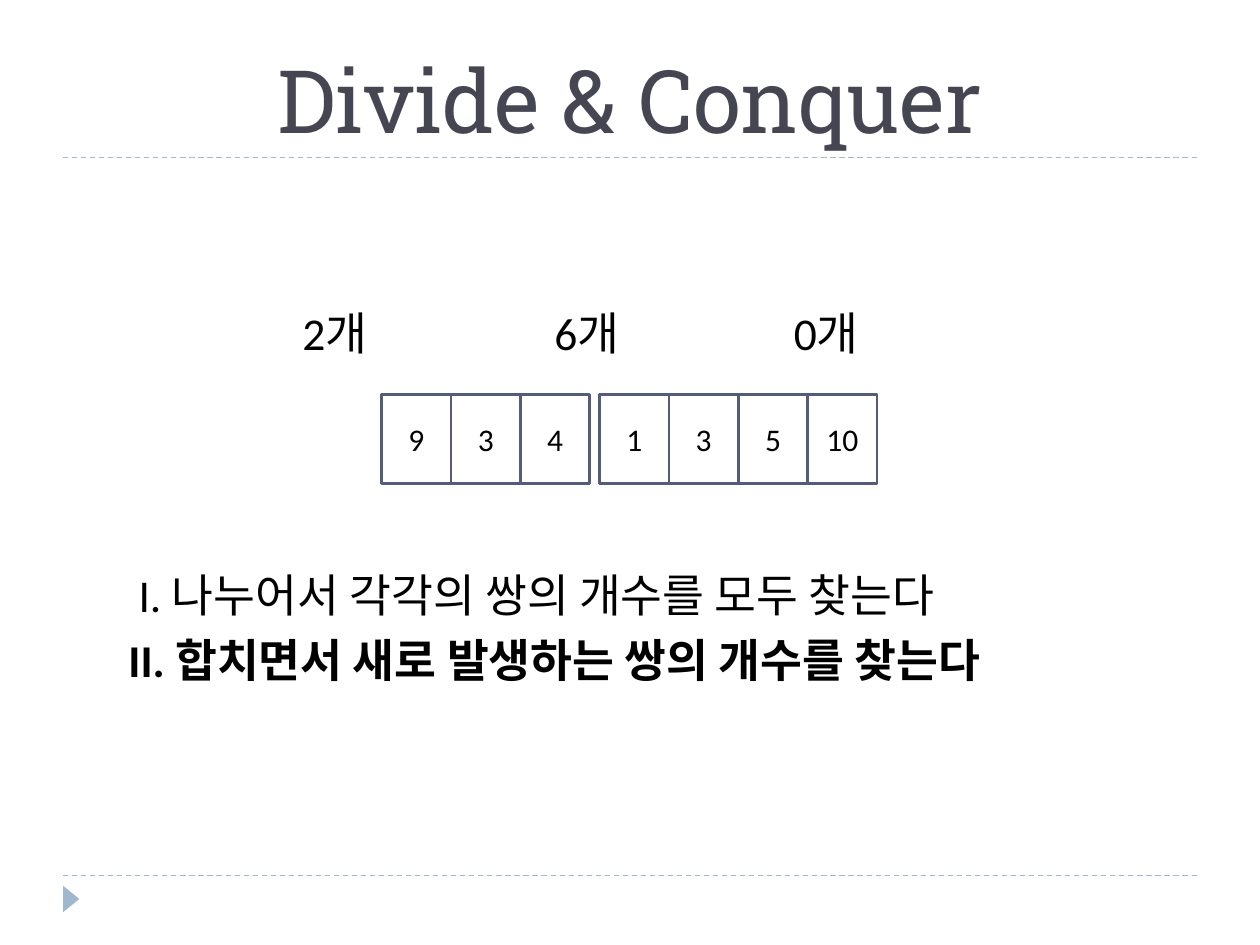
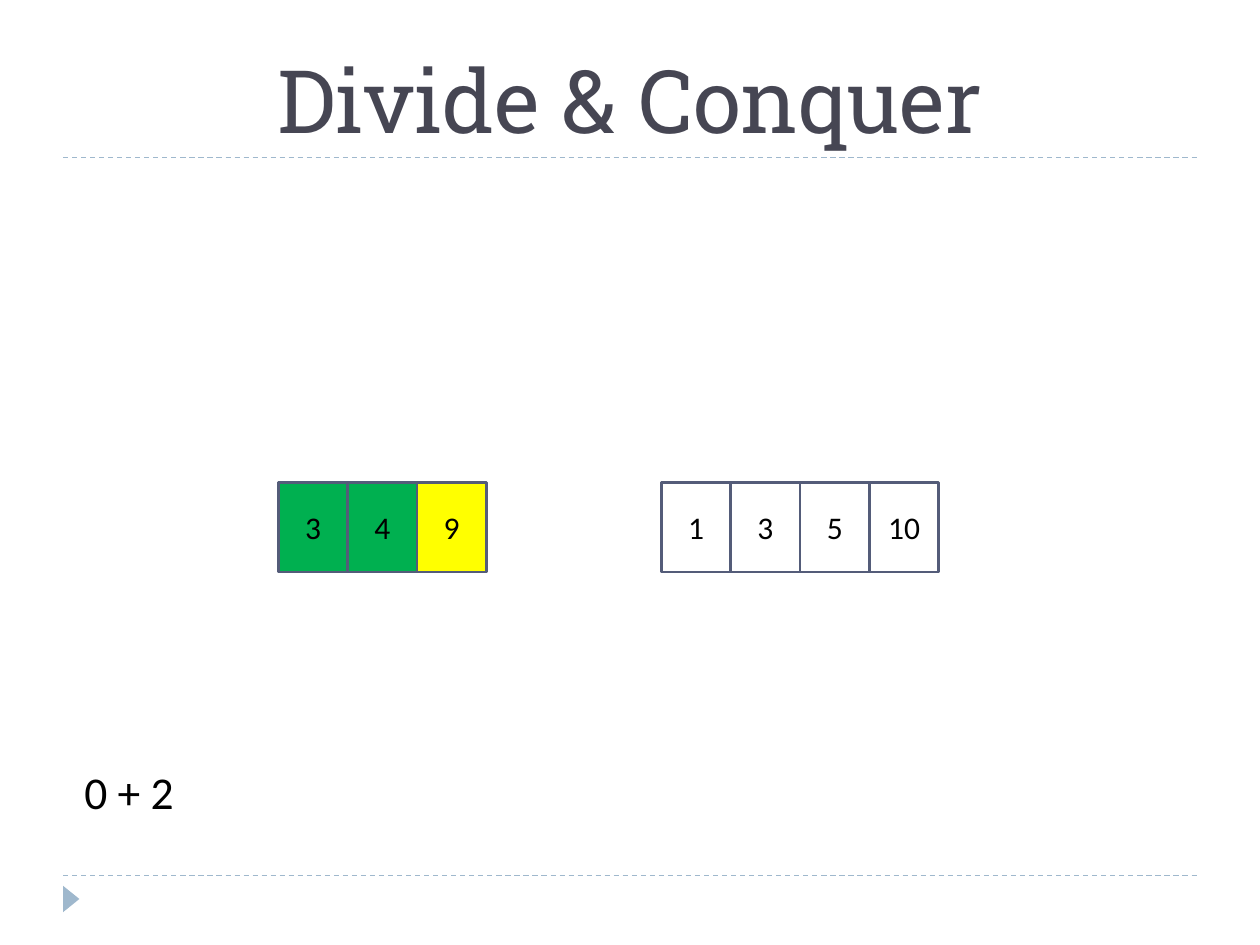
from lxml import etree
from pptx import Presentation
from pptx.dml.color import RGBColor
from pptx.enum.dml import MSO_LINE
from pptx.enum.shapes import MSO_CONNECTOR, MSO_SHAPE
from pptx.enum.text import MSO_ANCHOR, MSO_AUTO_SIZE, PP_ALIGN
from pptx.oxml.ns import qn
from pptx.util import Inches, Pt

INK = RGBColor(0x00, 0x00, 0x00)
TITLE_INK = RGBColor(0x46, 0x46, 0x53)
BAND = RGBColor(0x9F, 0xB8, 0xCD)
CELL_EDGE = RGBColor(0x54, 0x5C, 0x79)
GREEN = RGBColor(0x00, 0xB0, 0x50)
YELLOW = RGBColor(0xFF, 0xFF, 0x00)

STRAIGHT = MSO_CONNECTOR.STRAIGHT
RECTANGLE = MSO_SHAPE.RECTANGLE
TRIANGLE = MSO_SHAPE.ISOSCELES_TRIANGLE
DASH = MSO_LINE.DASH
CENTER = PP_ALIGN.CENTER
MIDDLE = MSO_ANCHOR.MIDDLE
BOTTOM = MSO_ANCHOR.BOTTOM
NO_FIT = MSO_AUTO_SIZE.NONE

SLIDE_W, SLIDE_H = 10, 7.5
MARGIN = SLIDE_W / 20
CONTENT_W = SLIDE_W - 2 * MARGIN
TITLE_TOP, TITLE_RULE, FOOTER_RULE = 0.17, 1.25, 6.95
TEXT_LEFT, TEXT_TOP, ROW_PITCH = 0.6, 1.38, 0.52
CELL_W, CELL_H = 0.55, 0.71
TITLE_ONLY = 5

TITLE_FONT = {"name": "Roboto Slab", "size": Pt(50), "bold": False}
BODY_FONT = {"name": "Calibri", "size": Pt(26)}
CELL_FONT = {"name": "Calibri", "size": Pt(18)}
NO_MARGINS = dict.fromkeys(
    ("margin_left", "margin_top", "margin_right", "margin_bottom"), 0)


def apply(target, formats):
    """Set every attribute named in formats on target."""
    for key, value in formats.items():
        setattr(target, key, value)


def box(left, top, width, height):
    """Turn four lengths in inches into slide units."""
    return [Inches(length) for length in (left, top, width, height)]


def write(paragraph, words, font, color):
    """Add one formatted run to a paragraph."""
    run = paragraph.add_run()
    run.text = words
    apply(run.font, font)
    run.font.color.rgb = color


def add_rule(slide, height):
    """Draw a dashed rule across the content width."""
    rule = slide.shapes.add_connector(
        STRAIGHT, Inches(MARGIN), Inches(height),
        Inches(SLIDE_W - MARGIN), Inches(height))
    apply(rule.line, {"width": Pt(0.75), "dash_style": DASH})
    rule.line.color.rgb = BAND
    etree.SubElement(rule.element.spPr, qn("a:effectLst"))


def add_page(deck, heading):
    """Start a slide with the shared title, rules and corner marker."""
    slide = deck.slides.add_slide(deck.slide_layouts[TITLE_ONLY])
    for height in (FOOTER_RULE, TITLE_RULE):
        add_rule(slide, height)
    marker = slide.shapes.add_shape(TRIANGLE, *box(0.46, 7.07, 0.21, 0.13))
    marker.rotation = 90
    marker.shadow.inherit = False
    marker.fill.solid()
    marker.fill.fore_color.rgb = BAND
    marker.line.fill.background()

    title = slide.shapes.title
    places = box(MARGIN, TITLE_TOP, CONTENT_W, TITLE_RULE - TITLE_TOP)
    apply(title, dict(zip(("left", "top", "width", "height"), places)))
    apply(title.text_frame, {"vertical_anchor": BOTTOM, "auto_size": NO_FIT,
                             "word_wrap": True})
    paragraph = title.text_frame.paragraphs[0]
    paragraph.alignment = CENTER
    write(paragraph, heading, TITLE_FONT, TITLE_INK)
    return slide


def add_lines(slide, row, lines):
    """Write (words, indent, bold) lines from a text row down."""
    area = slide.shapes.add_textbox(*box(
        TEXT_LEFT, TEXT_TOP + row * ROW_PITCH,
        SLIDE_W - 2 * TEXT_LEFT, len(lines) * ROW_PITCH))
    frame = area.text_frame
    apply(frame, {"word_wrap": True, **NO_MARGINS})
    for index, (words, indent, bold) in enumerate(lines):
        paragraph = frame.add_paragraph() if index else frame.paragraphs[0]
        if index:
            paragraph.space_before = Pt(6)
        paragraph._p.get_or_add_pPr().set("marL", str(Inches(indent)))
        write(paragraph, words, {**BODY_FONT, "bold": bold}, INK)
    return frame


def add_tab_stops(paragraph, stops):
    """Give a paragraph left tab stops, in inches."""
    tabs = etree.SubElement(paragraph._p.get_or_add_pPr(), qn("a:tabLst"))
    for stop in stops:
        etree.SubElement(tabs, qn("a:tab"), pos=str(Inches(stop)), algn="l")


def add_array(slide, left, top, numbers, fills=()):
    """Draw numbers as a row of touching cells, filled where fills are given."""
    for column, number in enumerate(numbers):
        cell = slide.shapes.add_shape(
            RECTANGLE, *box(left + column * CELL_W, top, CELL_W, CELL_H))
        cell.shadow.inherit = False
        if column < len(fills):
            cell.fill.solid()
            cell.fill.fore_color.rgb = fills[column]
        else:
            cell.fill.background()
        cell.line.width = Pt(1.5)
        cell.line.color.rgb = CELL_EDGE
        cell.text_frame.vertical_anchor = MIDDLE
        paragraph = cell.text_frame.paragraphs[0]
        paragraph.alignment = CENTER
        write(paragraph, str(number), CELL_FONT, INK)


def add_counting_slide(deck):
    """Show the pair counts and the two steps around the split array."""
    slide = add_page(deck, "Divide & Conquer")
    counts = add_lines(slide, 2, [("\t2개\t6개\t0개", 0, False)])
    add_tab_stops(counts.paragraphs[0], (1.8, 3.8, 5.7))
    add_lines(slide, 6, [
        ("I. 나누어서 각각의 쌍의 개수를 모두 찾는다", 0.5, False),
        ("II. 합치면서 새로 발생하는 쌍의 개수를 찾는다", 0.42, True),
    ])
    add_array(slide, 3.03, 3.13, (9, 3, 4))
    add_array(slide, 4.76, 3.13, (1, 3, 5, 10))


def add_merging_slide(deck):
    """Show the sorted halves and the running count."""
    slide = add_page(deck, "Divide & Conquer")
    add_lines(slide, 9, [("0 + 2", 0.07, False)])
    add_array(slide, 2.21, 3.83, (3, 4, 9), (GREEN, GREEN, YELLOW))
    add_array(slide, 5.25, 3.83, (1, 3, 5, 10))


def main():
    """Build and save the deck."""
    deck = Presentation()
    deck.slide_width, deck.slide_height = Inches(SLIDE_W), Inches(SLIDE_H)
    add_counting_slide(deck)
    add_merging_slide(deck)
    deck.save("out.pptx")


main()
